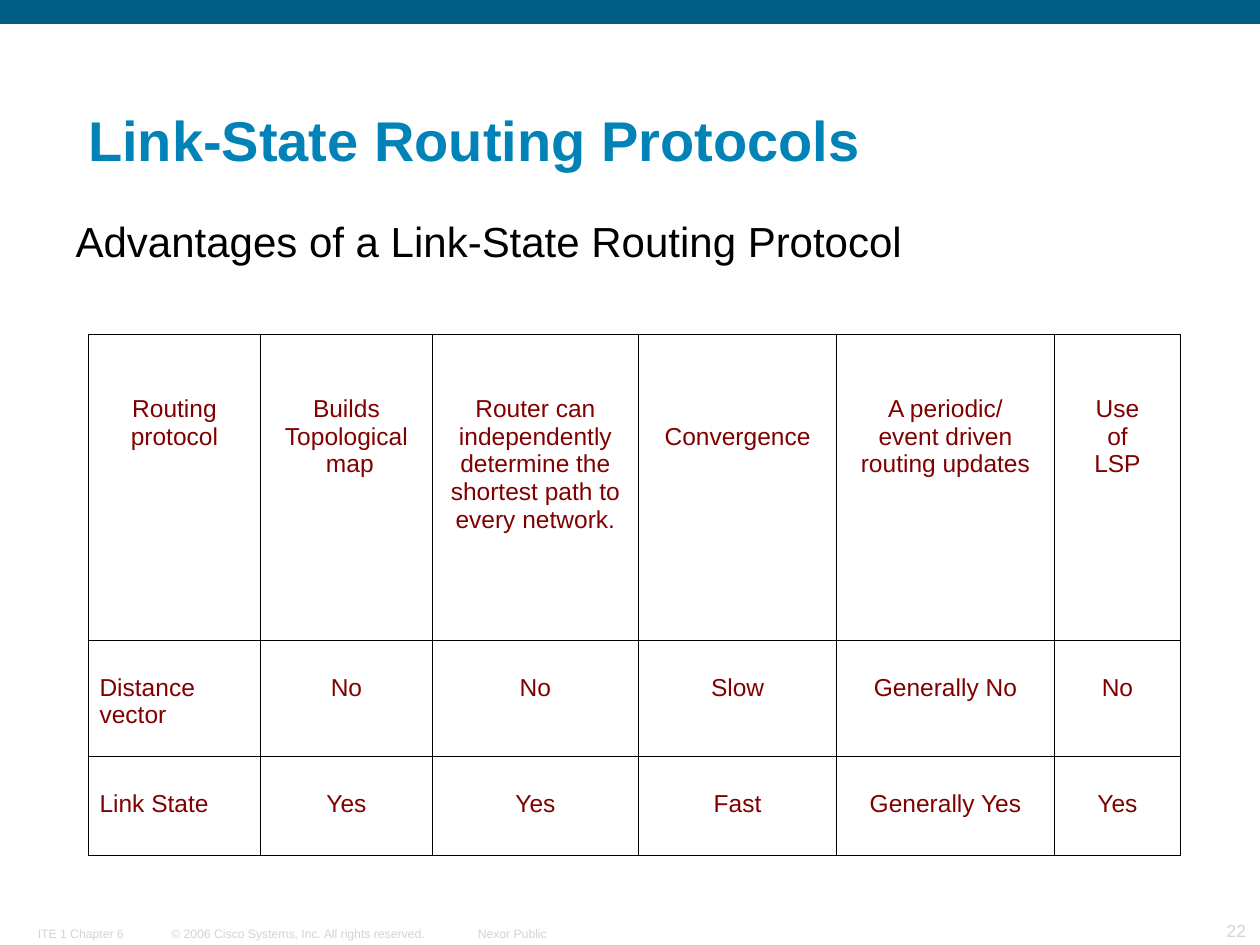
import pptx
import pptx.dml.color
import pptx.enum.shapes
import pptx.enum.text
import pptx.oxml.ns
import pptx.util
from lxml import etree

Inches = pptx.util.Inches
Pt = pptx.util.Pt
RGBColor = pptx.dml.color.RGBColor
Align = pptx.enum.text.PP_ALIGN
Anchor = pptx.enum.text.MSO_ANCHOR

BAR_BLUE = RGBColor(0x01, 0x5F, 0x85)
TITLE_BLUE = RGBColor(0x01, 0x83, 0xB7)
FOOTER_GRAY = RGBColor(0xD3, 0xD3, 0xD3)
TABLE_MAROON = RGBColor(0x80, 0x00, 0x00)
BLACK = RGBColor(0x00, 0x00, 0x00)

TABLE_LINE = 0.22
COLUMN_WIDTHS = [1.37, 1.36, 1.64, 1.57, 1.73, 1]
ROW_HEIGHTS = [2.43, 0.92, 0.79]
ROWS = [
    [
        ["Routing", "protocol"],
        ["Builds", "Topological", " map"],
        ["Router can independently determine the shortest path to every network."],
        ["Convergence"],
        ["A periodic/", "event driven routing updates"],
        ["Use", "of", "LSP"],
    ],
    [["Distance vector"], ["No"], ["No"], ["Slow"], ["Generally No"], ["No"]],
    [["Link State"], ["Yes"], ["Yes"], ["Fast"], ["Generally Yes"], ["Yes"]],
]
FOOTERS = [
    ("© 2006 Cisco Systems, Inc. All rights reserved.", 1.27, 7.3, 2.2, 0.21, 7, Align.LEFT),
    ("Nexor Public", 3.72, 7.3, 0.71, 0.21, 7, Align.RIGHT),
    ("ITE 1 Chapter 6", 0.21, 7.3, 1.05, 0.21, 7, Align.LEFT),
    ("22", 9.17, 7.25, 0.81, 0.26, 10, Align.RIGHT),
]


class SlideBuilder:
    font_name = "Arial"

    def __init__(self, presentation):
        self.slide = presentation.slides.add_slide(presentation.slide_layouts[5])

    def place(self, shape, left, top, width, height):
        shape.left, shape.top = Inches(left), Inches(top)
        shape.width, shape.height = Inches(width), Inches(height)

    def add_lines(self, frame, lines, size, color, align=Align.LEFT, bold=False, spacing=1.0):
        for index, line in enumerate(lines):
            paragraph = frame.add_paragraph() if index else frame.paragraphs[0]
            paragraph.alignment = align
            paragraph.line_spacing = spacing
            paragraph.space_before = Pt(0)
            run = paragraph.add_run()
            run.text = line
            run.font.name = self.font_name
            run.font.size = Pt(size)
            run.font.bold = bold
            run.font.color.rgb = color

    def format_frame(self, frame, anchor, wrap=True):
        frame.auto_size = pptx.enum.text.MSO_AUTO_SIZE.NONE
        frame.word_wrap = wrap
        frame.vertical_anchor = anchor
        frame.margin_left = frame.margin_right = Inches(0.09)
        frame.margin_top = frame.margin_bottom = Inches(0.04)

    def bar(self, left, top, width, height, color):
        shape = self.slide.shapes.add_shape(
            pptx.enum.shapes.MSO_SHAPE.RECTANGLE,
            Inches(left), Inches(top), Inches(width), Inches(height))
        shape.shadow.inherit = False
        shape.fill.solid()
        shape.fill.fore_color.rgb = color
        shape.line.fill.background()

    def title(self, text, left, top, width, height):
        shape = self.slide.shapes.title
        self.place(shape, left, top, width, height)
        self.format_frame(shape.text_frame, Anchor.BOTTOM)
        self.add_lines(shape.text_frame, [text], 32, TITLE_BLUE, bold=True, spacing=0.9)

    def text(self, text, left, top, width, height, size, color,
             align=Align.LEFT, anchor=Anchor.TOP, wrap=True, spacing=1.0):
        shape = self.slide.shapes.add_textbox(
            Inches(left), Inches(top), Inches(width), Inches(height))
        self.format_frame(shape.text_frame, anchor, wrap)
        self.add_lines(shape.text_frame, [text], size, color, align, spacing=spacing)

    def border(self, cell):
        properties = cell._tc.get_or_add_tcPr()
        for side in ("a:lnL", "a:lnR", "a:lnT", "a:lnB"):
            line = etree.SubElement(properties, pptx.oxml.ns.qn(side), w=str(Pt(0.45)))
            fill = etree.SubElement(line, pptx.oxml.ns.qn("a:solidFill"))
            etree.SubElement(fill, pptx.oxml.ns.qn("a:srgbClr"), val=str(BLACK))

    def cell(self, cell, lines, align, lines_above):
        cell.margin_left = cell.margin_right = Inches(0.09)
        cell.margin_top = Inches(0.05 + lines_above * TABLE_LINE)
        cell.margin_bottom = Inches(0.05)
        cell.vertical_anchor = Anchor.TOP
        self.border(cell)
        cell.fill.background()
        self.add_lines(cell.text_frame, lines, 14, TABLE_MAROON, align)

    def table(self, left, top, rows, widths, heights):
        table = self.slide.shapes.add_table(
            len(heights), len(widths), Inches(left), Inches(top),
            Inches(sum(widths)), Inches(sum(heights))).table
        table.first_row = table.horz_banding = False
        for column, width in zip(table.columns, widths):
            column.width = Inches(width)
        for row, height in zip(table.rows, heights):
            row.height = Inches(height)
        for row_index, row in enumerate(rows):
            for column_index, lines in enumerate(row):
                is_label = row_index > 0 and column_index == 0
                lines_above = 1 if row_index else 2
                if lines == ["Convergence"]:
                    lines_above = 3
                self.cell(table.cell(row_index, column_index), lines,
                          Align.LEFT if is_label else Align.CENTER, lines_above)


def main():
    presentation = pptx.Presentation()
    presentation.slide_width = Inches(10)
    presentation.slide_height = Inches(7.5)
    builder = SlideBuilder(presentation)
    builder.bar(0, 0, 10, 0.19, BAR_BLUE)
    for text, left, top, width, height, size, align in FOOTERS:
        builder.text(text, left, top, width, height, size, FOOTER_GRAY,
                     align, Anchor.BOTTOM, wrap=False)
    builder.title("Link-State Routing Protocols", 0.61, 0.5, 8.91, 0.92)
    builder.table(0.7, 2.65, ROWS, COLUMN_WIDTHS, ROW_HEIGHTS)
    builder.text("Advantages of a Link-State Routing Protocol",
                 0.51, 1.7, 8.68, 0.58, 24, BLACK, spacing=0.95)
    presentation.save("out.pptx")


if __name__ == "__main__":
    main()
